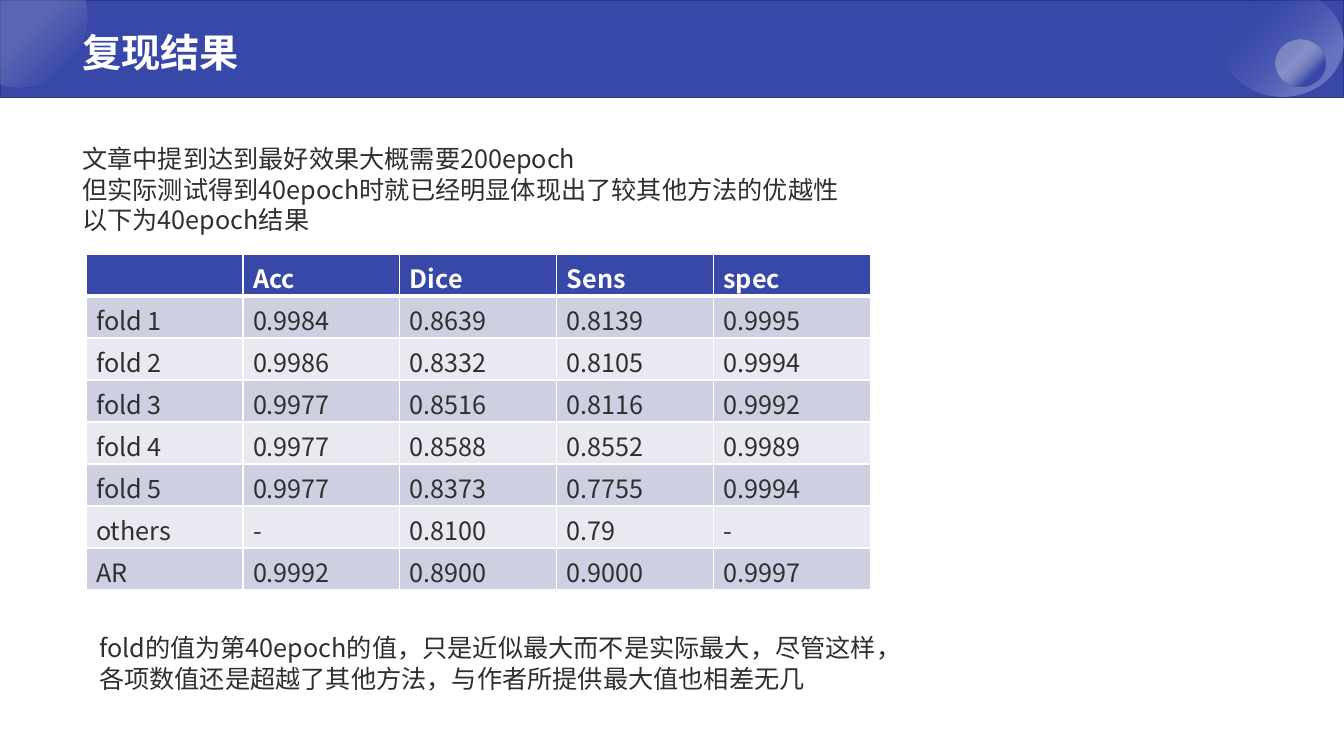
from dataclasses import dataclass
from math import cos, radians, sin

from lxml.etree import SubElement
from pptx import Presentation
from pptx.dml.color import RGBColor
from pptx.enum.shapes import MSO_SHAPE as Shape
from pptx.enum.text import MSO_ANCHOR as Anchor
from pptx.oxml.ns import qn
from pptx.util import Pt

PX = 9525
FONT = "Noto Sans CJK SC"
COLORS = {
    "brand": "3848A8", "brand_dark": "29357C", "white": "FFFFFF", "ink": "2F2F2F",
    "band_dark": "CECFE1", "band_light": "E8E9F1", "lavender": "9EA8DF",
    "silver": "DDDEE0", "periwinkle": "8B93C4", "mist": "B1B6D1",
}
RESULTS = [
    ["", "Acc", "Dice", "Sens", "spec"],
    ["fold 1", "0.9984", "0.8639", "0.8139", "0.9995"],
    ["fold 2", "0.9986", "0.8332", "0.8105", "0.9994"],
    ["fold 3", "0.9977", "0.8516", "0.8116", "0.9992"],
    ["fold 4", "0.9977", "0.8588", "0.8552", "0.9989"],
    ["fold 5", "0.9977", "0.8373", "0.7755", "0.9994"],
    ["others", "-", "0.8100", "0.79", "-"],
    ["AR", "0.9992", "0.8900", "0.9000", "0.9997"],
]


@dataclass
class Box:
    x: int
    y: int
    w: int
    h: int

    def emu(self) -> list[int]:
        return [v * PX for v in (self.x, self.y, self.w, self.h)]


@dataclass
class Stop:
    position: int
    color: str
    opacity: int = 100


@dataclass
class Bubble:
    box: Box
    stops: list[Stop]
    radial: bool = False


@dataclass
class TextBlock:
    box: Box
    lines: list[str]
    size: int = 18
    color: str = "ink"
    bold: bool = False
    spacing: object = Pt(22)
    anchor: Anchor = Anchor.TOP


BUBBLES = [
    Bubble(Box(1163, -10, 117, 102),
           [Stop(25, "lavender", 45), Stop(83, "brand", 0), Stop(100, "brand", 0)], True),
    Bubble(Box(1215, 38, 47, 44), [Stop(34, "silver", 34), Stop(74, "brand")]),
]
CORNER_STOPS = [Stop(34, "periwinkle", 42), Stop(79, "brand", 40), Stop(86, "mist", 0)]
TEXTS = [
    TextBlock(Box(69, 10, 1140, 84), ["复现结果"], 28, "white", True, 0.9, Anchor.MIDDLE),
    TextBlock(Box(69, 131, 933, 97), [
        "文章中提到达到最好效果大概需要200epoch",
        "但实际测试得到40epoch时就已经明显体现出了较其他方法的优越性",
        "以下为40epoch结果",
    ]),
    TextBlock(Box(85, 597, 797, 68), [
        "fold的值为第40epoch的值，只是近似最大而不是实际最大，尽管这样，"
        "各项数值还是超越了其他方法，与作者所提供最大值也相差无几",
    ]),
]


def rgb(name: str) -> RGBColor:
    return RGBColor.from_string(COLORS[name])


def set_font(p, size: int, color: str, bold: bool) -> None:
    p.font.size, p.font.bold = Pt(size), bold
    p.font.color.rgb = rgb(color)
    p.font.name = FONT
    SubElement(p._p.pPr.find(qn("a:defRPr")), qn("a:ea"), typeface=FONT)


def set_gradient(sp, stops: list[Stop], radial: bool = False) -> None:
    sp.shadow.inherit = False
    sp.line.fill.background()
    sp.fill.gradient()
    grad = sp._element.spPr.find(qn("a:gradFill"))
    for child in list(grad):
        grad.remove(child)
    gs_list = SubElement(grad, qn("a:gsLst"))
    for stop in stops:
        gs = SubElement(gs_list, qn("a:gs"), pos=str(stop.position * 1000))
        clr = SubElement(gs, qn("a:srgbClr"), val=COLORS[stop.color])
        if stop.opacity < 100:
            SubElement(clr, qn("a:alpha"), val=str(stop.opacity * 1000))
    if radial:
        circle = SubElement(grad, qn("a:path"), path="circle")
        SubElement(circle, qn("a:fillToRect"), l="100000", t="100000")
    else:
        SubElement(grad, qn("a:lin"), ang="2700000", scaled="0")


def draw_header(s) -> None:
    band = s.shapes.add_shape(Shape.RECTANGLE, *Box(0, 0, 1280, 93).emu())
    band.shadow.inherit = False
    band.fill.solid()
    band.fill.fore_color.rgb = rgb("brand")
    band.line.color.rgb = rgb("brand_dark")
    band.line.width = Pt(1)
    for bubble in BUBBLES:
        sp = s.shapes.add_shape(Shape.OVAL, *bubble.box.emu())
        set_gradient(sp, bubble.stops, bubble.radial)
    arc = [(max(0, 20 + 63 * cos(a)) * PX, max(0, 17 + 66 * sin(a)) * PX)
           for a in map(radians, range(-15, 110, 4))]
    builder = s.shapes.build_freeform(0, 0)
    builder.add_line_segments(arc, close=True)
    set_gradient(builder.convert_to_shape(), CORNER_STOPS)


def draw_text(s, block: TextBlock) -> None:
    tf = s.shapes.add_textbox(*block.box.emu()).text_frame
    tf.word_wrap = True
    tf.vertical_anchor = block.anchor
    tf.text = "\n".join(block.lines)
    for p in tf.paragraphs:
        p.line_spacing = block.spacing
        set_font(p, block.size, block.color, block.bold)


def set_borders(cell, header: bool, below_header: bool) -> None:
    tc_pr = cell._tc.get_or_add_tcPr()
    thick = {"B": header, "T": below_header}
    for i, side in enumerate("LRTB"):
        width = Pt(3 if thick.get(side) else 1)
        ln = SubElement(tc_pr, qn(f"a:ln{side}"), w=str(width))
        fill = SubElement(ln, qn("a:solidFill"))
        SubElement(fill, qn("a:srgbClr"), val=COLORS["white"])
        tc_pr.insert(i, ln)


def draw_results(s, box: Box) -> None:
    table = s.shapes.add_table(len(RESULTS), len(RESULTS[0]), *box.emu()).table
    for r, row in enumerate(RESULTS):
        header = r == 0
        band = "brand" if header else ("band_light", "band_dark")[r % 2]
        for c, value in enumerate(row):
            cell = table.cell(r, c)
            cell.margin_bottom = 0
            cell.fill.solid()
            cell.fill.fore_color.rgb = rgb(band)
            set_borders(cell, header, r == 1)
            cell.text = value
            set_font(cell.text_frame.paragraphs[0], 18, "white" if header else "ink", header)


def main() -> None:
    prs = Presentation()
    prs.slide_width, prs.slide_height = 1280 * PX, 720 * PX
    s = prs.slides.add_slide(prs.slide_layouts[6])
    draw_header(s)
    for block in TEXTS:
        draw_text(s, block)
    draw_results(s, Box(82, 242, 747, 320))
    prs.save("out.pptx")


if __name__ == "__main__":
    main()
